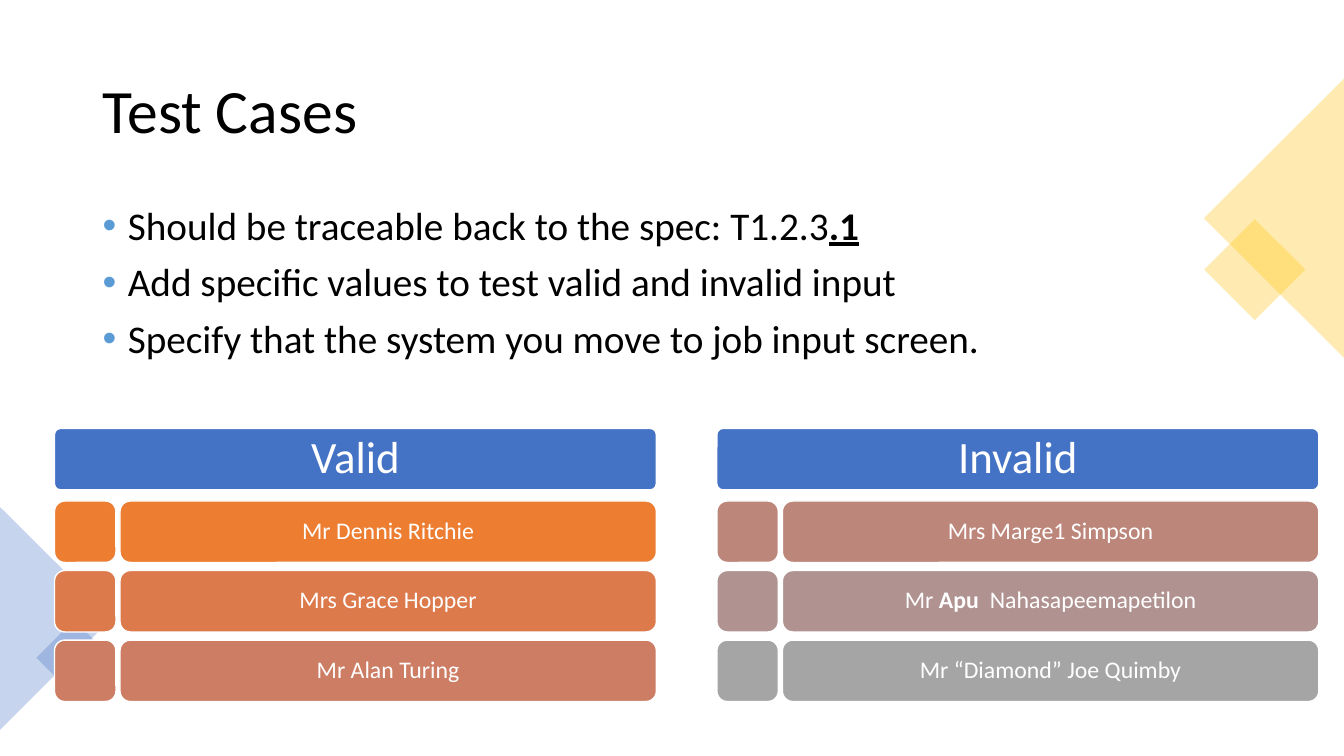
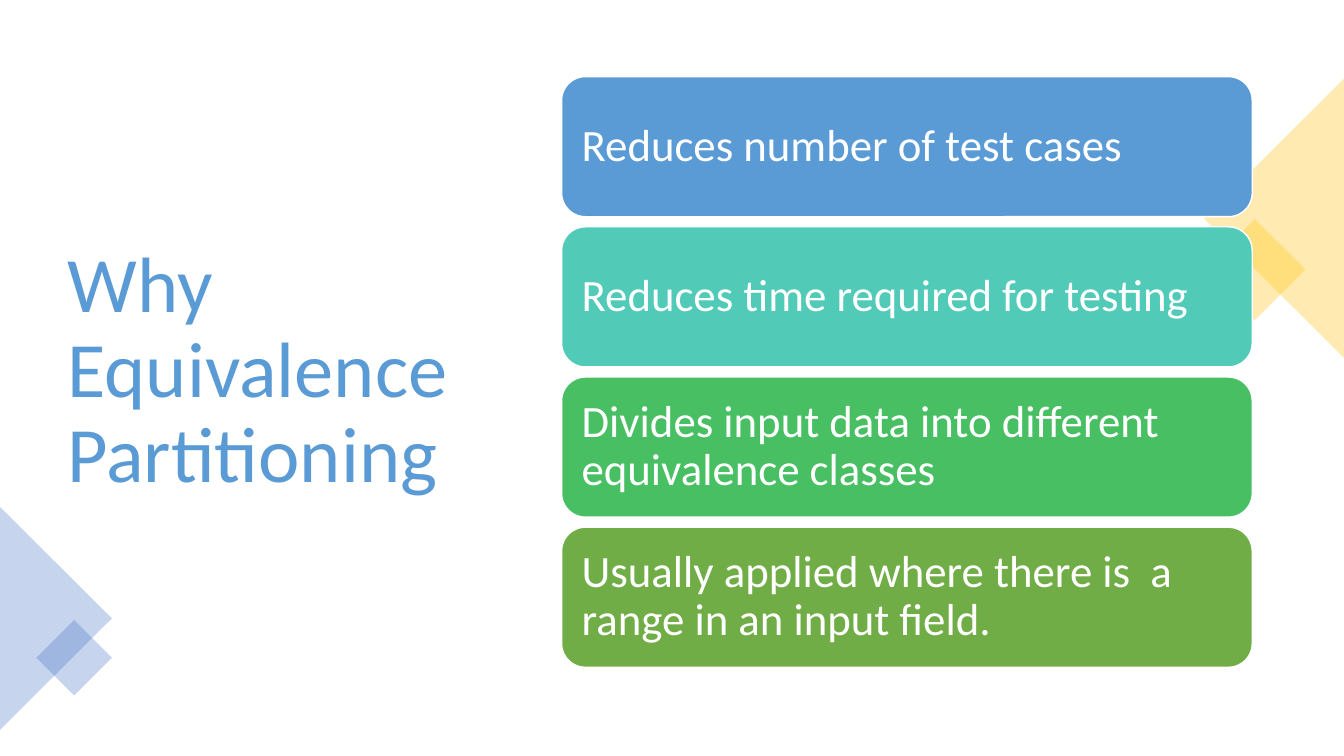
from dataclasses import dataclass
from typing import Any

from lxml import etree
from pptx import Presentation
from pptx.dml.color import RGBColor
from pptx.enum.shapes import MSO_SHAPE
from pptx.enum.text import MSO_ANCHOR, MSO_AUTO_SIZE, PP_ALIGN
from pptx.oxml.ns import qn
from pptx.util import Inches, Pt

RECT, TRIANGLE, ROUNDED = MSO_SHAPE.RECTANGLE, MSO_SHAPE.ISOSCELES_TRIANGLE, MSO_SHAPE.ROUNDED_RECTANGLE
LEFT, CENTER = PP_ALIGN.LEFT, PP_ALIGN.CENTER
TOP, MIDDLE = MSO_ANCHOR.TOP, MSO_ANCHOR.MIDDLE
NO_FIT = MSO_AUTO_SIZE.NONE
TITLE_ONLY = 5


@dataclass(frozen=True)
class Theme:
    """Colours, font and type sizes of the deck."""
    font: str = "Calibri"
    black: str = "000000"
    white: str = "FFFFFF"
    gold: str = "FFC000"
    blue: str = "4472C4"
    sky: str = "5B9BD5"
    title: int = 44
    big_title: int = 56
    heading: int = 32
    bullet: int = 28
    name: int = 17
    opacity: int = 30


@dataclass(frozen=True)
class Box:
    """A place on the slide in inches."""
    x: float
    y: float
    w: float
    h: float

    def lengths(self) -> list[Any]:
        """Return left, top, width and height as lengths."""
        return [Inches(v) for v in (self.x, self.y, self.w, self.h)]


@dataclass(frozen=True)
class Run:
    """A piece of text with its own emphasis."""
    text: str
    bold: bool = False
    underline: bool = False


@dataclass(frozen=True)
class Decor:
    """A translucent corner shape."""
    kind: Any
    box: Box
    rotation: int
    color: str


@dataclass(frozen=True)
class Entry:
    """A coloured bar and its text."""
    color: str
    runs: list[Run]


@dataclass(frozen=True)
class Column:
    """A headed list of test names."""
    x: float
    heading: str
    entries: list[Entry]


T = Theme()
DECOR = [
    Decor(RECT, Box(12.09, 2.32, 0.71, 0.71), 45, T.gold),
    Decor(TRIANGLE, Box(11.25, 1.47, 2.77, 1.39), 270, T.gold),
    Decor(TRIANGLE, Box(-0.55, 5.58, 2.21, 1.11), 90, T.blue),
    Decor(RECT, Box(0.47, 6.26, 0.53, 0.53), 45, T.blue),
]
BULLETS = [
    [Run("Should be traceable back to the spec: T1.2.3"), Run(".1", True, True)],
    [Run("Add specific values to test valid and invalid input")],
    [Run("Specify that the system you move to job input screen.")],
]
COLUMNS = [
    Column(0.54, "Valid", [
        Entry("ED7D31", [Run("Mr Dennis Ritchie")]),
        Entry("DC7A4B", [Run("Mrs Grace Hopper")]),
        Entry("CC7D64", [Run("Mr Alan Turing")]),
    ]),
    Column(7.11, "Invalid", [
        Entry("BD867B", [Run("Mrs Marge1 Simpson")]),
        Entry("B09391", [Run("Mr "), Run("Apu  ", True), Run("Nahasapeemapetilon")]),
        Entry("A5A5A5", [Run("Mr “Diamond” Joe Quimby")]),
    ]),
]
REASONS = [
    Entry("5B9BD5", [Run("Reduces number of test cases")]),
    Entry("52CAB8", [Run("Reduces time required for testing")]),
    Entry("49BF64", [Run("Divides input data into different equivalence classes")]),
    Entry("70AD47", [Run("Usually applied where there is  a range in an input field.")]),
]


def set_all(target: Any, values: dict[str, Any]) -> None:
    """Set each named attribute of the target."""
    for name, value in values.items():
        setattr(target, name, value)


def format_frame(tf: Any, anchor: Any, inset_x: float = 0.1, inset_y: float = 0.05) -> None:
    """Set wrapping, anchor and margins of a text frame."""
    set_all(tf, {
        "word_wrap": True, "auto_size": NO_FIT, "vertical_anchor": anchor,
        "margin_left": Inches(inset_x), "margin_right": Inches(inset_x),
        "margin_top": Inches(inset_y), "margin_bottom": Inches(inset_y),
    })


def write(p: Any, runs: list[Run], size: int, color: str, align: Any = LEFT) -> None:
    """Fill a paragraph with formatted runs."""
    set_all(p, {"alignment": align, "line_spacing": 0.9})
    for run in runs:
        r = p.add_run()
        r.text = run.text
        set_all(r.font, {"name": T.font, "size": Pt(size), "bold": run.bold, "underline": run.underline})
        r.font.color.rgb = RGBColor.from_string(color)


def add_bullet(p: Any) -> None:
    """Give a paragraph a hanging coloured bullet."""
    pPr = p._p.get_or_add_pPr()
    pPr.set("marL", str(Inches(0.25)))
    pPr.set("indent", str(-Inches(0.25)))
    clr = etree.SubElement(pPr, qn("a:buClr"))
    etree.SubElement(clr, qn("a:srgbClr"), val=T.sky)
    etree.SubElement(pPr, qn("a:buFont"), typeface="Arial")
    etree.SubElement(pPr, qn("a:buChar"), char="•")


def add_filled(s: Any, kind: Any, box: Box, color: str) -> Any:
    """Add a flat filled shape without an outline."""
    sp = s.shapes.add_shape(kind, *box.lengths())
    sp.shadow.inherit = False
    sp.fill.solid()
    sp.fill.fore_color.rgb = RGBColor.from_string(color)
    sp.line.fill.background()
    return sp


def add_bar(s: Any, box: Box, color: str, corner: float) -> Any:
    """Add a rounded bar with a white outline."""
    sp = add_filled(s, ROUNDED, box, color)
    sp.adjustments[0] = corner
    sp.line.color.rgb = RGBColor.from_string(T.white)
    sp.line.width = Pt(1)
    return sp


def add_decor(s: Any) -> None:
    """Add the translucent corner shapes."""
    for item in DECOR:
        sp = add_filled(s, item.kind, item.box, item.color)
        sp.rotation = item.rotation
        clr = sp._element.spPr.find(f"{qn('a:solidFill')}/{qn('a:srgbClr')}")
        etree.SubElement(clr, qn("a:alpha"), val=str(T.opacity * 1000))


def add_slide(prs: Any, title: str, box: Box, size: int, color: str) -> Any:
    """Add a slide with its corner shapes and title."""
    s = prs.slides.add_slide(prs.slide_layouts[TITLE_ONLY])
    add_decor(s)
    sp = s.shapes.title
    set_all(sp, dict(zip(("left", "top", "width", "height"), box.lengths())))
    format_frame(sp.text_frame, MIDDLE)
    write(sp.text_frame.paragraphs[0], [Run(title)], size, color)
    return s


def add_bullets(s: Any, box: Box) -> None:
    """Add the bulleted advice."""
    tf = s.shapes.add_textbox(*box.lengths()).text_frame
    format_frame(tf, TOP)
    for i, runs in enumerate(BULLETS):
        p = tf.add_paragraph() if i else tf.paragraphs[0]
        add_bullet(p)
        p.space_before = Pt(10 if i else 0)
        write(p, runs, T.bullet, T.black)


def add_column(s: Any, column: Column) -> None:
    """Add a heading bar with its rows of names."""
    width, side, indent, corner = 5.97, 0.61, 0.65, 0.17
    sp = add_bar(s, Box(column.x, 4.25, width, side), T.blue, 0.1)
    format_frame(sp.text_frame, MIDDLE, 0.07, 0.04)
    write(sp.text_frame.paragraphs[0], [Run(column.heading)], T.heading, T.white, CENTER)
    for i, entry in enumerate(column.entries):
        y = 4.97 + i * 0.69
        add_bar(s, Box(column.x, y, side, side), entry.color, corner)
        sp = add_bar(s, Box(column.x + indent, y, width - indent, side), entry.color, corner)
        format_frame(sp.text_frame, MIDDLE, 0.13, 0.13)
        write(sp.text_frame.paragraphs[0], entry.runs, T.name, T.white, CENTER)


def build_test_cases(prs: Any) -> None:
    """Build the slide on test cases."""
    s = add_slide(prs, "Test Cases", Box(0.92, 0.4, 11.5, 1.45), T.title, T.black)
    add_bullets(s, Box(0.92, 2, 11.5, 2))
    for column in COLUMNS:
        add_column(s, column)


def build_reasons(prs: Any) -> None:
    """Build the slide on equivalence partitioning."""
    s = add_slide(prs, "Why Equivalence Partitioning", Box(0.57, 0.68, 4.16, 6.02), T.big_title, T.sky)
    for i, entry in enumerate(REASONS):
        sp = add_bar(s, Box(5.57, 0.76 + i * 1.49, 6.85, 1.39), entry.color, 0.17)
        format_frame(sp.text_frame, MIDDLE, 0.13, 0.13)
        write(sp.text_frame.paragraphs[0], entry.runs, T.heading, T.white)


def main() -> None:
    """Build and save the deck."""
    prs = Presentation()
    set_all(prs, {"slide_width": Inches(13.33), "slide_height": Inches(7.5)})
    build_test_cases(prs)
    build_reasons(prs)
    prs.save("out.pptx")


if __name__ == "__main__":
    main()
